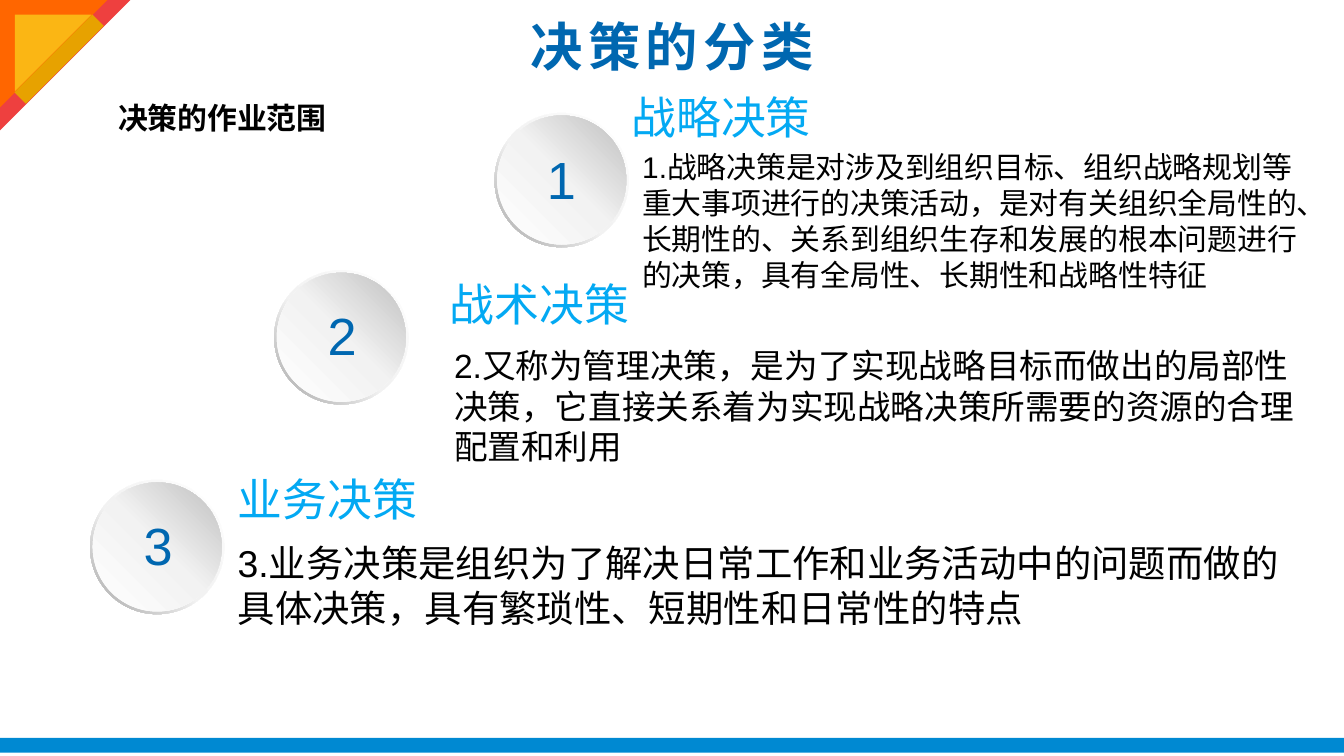
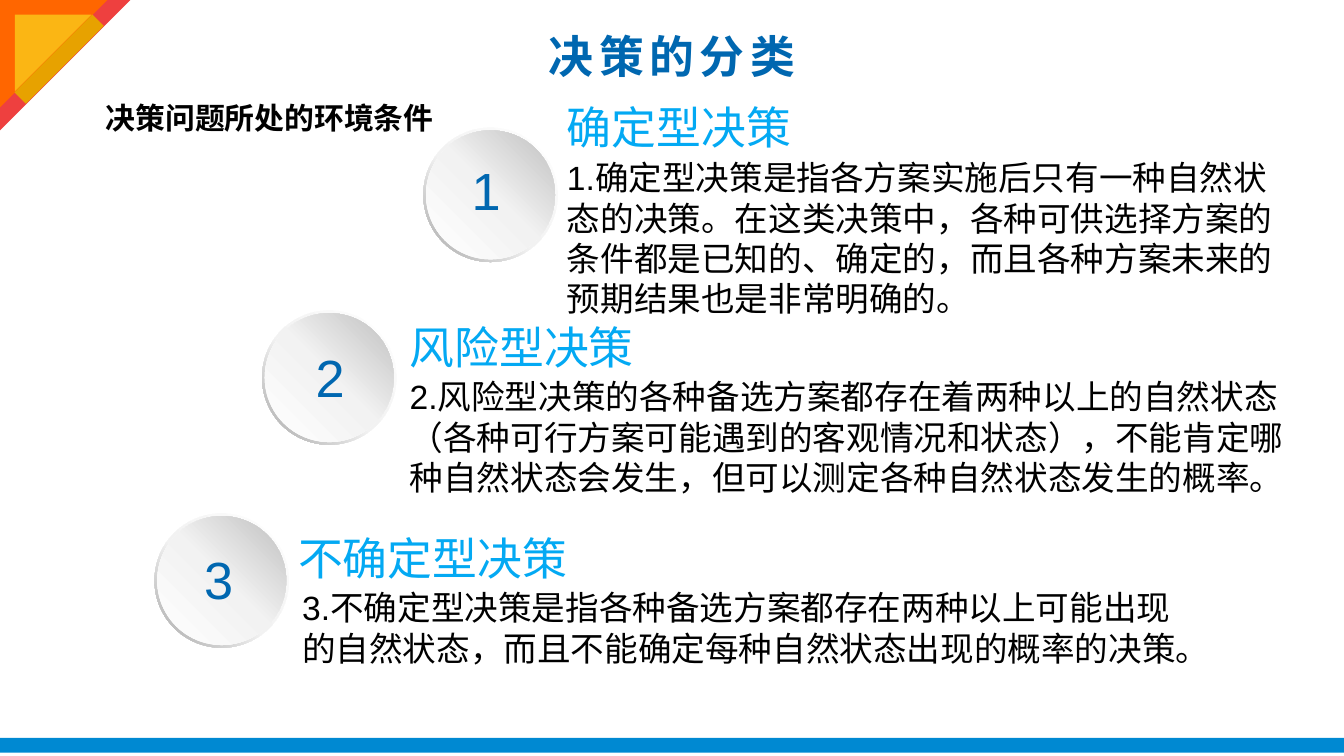
from dataclasses import dataclass

from lxml import etree
from pptx import Presentation
from pptx.dml.color import RGBColor
from pptx.enum.shapes import MSO_SHAPE
from pptx.enum.text import MSO_ANCHOR, MSO_AUTO_SIZE, PP_ALIGN
from pptx.oxml.ns import qn
from pptx.util import Inches, Pt

RECT, TRIANGLE = MSO_SHAPE.RECTANGLE, MSO_SHAPE.RIGHT_TRIANGLE
DONUT, OVAL = MSO_SHAPE.DONUT, MSO_SHAPE.OVAL
TOP, MIDDLE = MSO_ANCHOR.TOP, MSO_ANCHOR.MIDDLE
LEFT, CENTER = PP_ALIGN.LEFT, PP_ALIGN.CENTER
FIT, FIXED = MSO_AUTO_SIZE.SHAPE_TO_FIT_TEXT, MSO_AUTO_SIZE.NONE


@dataclass(frozen=True)
class Theme:
    font: str = "Arial"
    ink: str = "000000"
    navy: str = "0067B0"
    sky: str = "03A9F3"
    band: str = "0089D2"
    red: str = "EE403F"
    orange: str = "FF6600"
    yellow: str = "FBB614"
    amber: str = "E7A200"
    rim: tuple = ((0, "FFFFFF"), (55, "F2F2F2"), (100, "A6A6A6"))
    face: tuple = ((0, "FFFFFF"), (51, "F2F2F2"), (100, "BFBFBF"))
    scope_size: int = 16
    heading_size: int = 24
    number_size: int = 28
    title_spacing: int = 300


THEME = Theme()


@dataclass(frozen=True)
class Decision:
    heading: str
    heading_box: tuple
    detail: str
    detail_box: tuple
    detail_size: int
    badge_at: tuple
    number_offset: tuple


SLIDES = (
    dict(
        title_box=(0.5, 0.1, 9, 0.48), title_size=28,
        scope="决策的作业范围", scope_box=(0.78, 0.69, 3.52, 0.37),
        decisions=(
            Decision("战略决策", (4.6, 0.62, 2.23, 0.5),
                     "1.战略决策是对涉及到组织目标、组织战略规划等重大事项进行的决策活动，"
                     "是对有关组织全局性的、长期性的、关系到组织生存和发展的根本问题进行的决策，"
                     "具有全局性、长期性和战略性特征",
                     (4.68, 1.06, 5.18, 1.18), 16, (3.68, 0.84), (0.29, 0.21)),
            Decision("战术决策", (3.25, 2.01, 1.74, 0.5),
                     "2.又称为管理决策，是为了实现战略目标而做出的局部性决策，"
                     "它直接关系着为实现战略决策所需要的资源的合理配置和利用",
                     (3.28, 2.52, 6.58, 1.01), 18, (2.04, 2.01), (0.3, 0.2)),
            Decision("业务决策", (1.67, 3.46, 1.55, 0.5),
                     "3.业务决策是组织为了解决日常工作和业务活动中的问题而做的具体决策，"
                     "具有繁琐性、短期性和日常性的特点",
                     (1.67, 3.97, 8.09, 0.77), 20, (0.67, 3.57), (0.3, 0.2)),
        ),
    ),
    dict(
        title_box=(0.5, 0.23, 9, 0.37), title_size=24,
        scope="决策问题所处的环境条件", scope_box=(0.69, 0.69, 3.52, 0.37),
        decisions=(
            Decision("确定型决策", (4.12, 0.69, 2.23, 0.5),
                     "1.确定型决策是指各方案实施后只有一种自然状态的决策。在这类决策中，"
                     "各种可供选择方案的条件都是已知的、确定的，"
                     "而且各种方案未来的预期结果也是非常明确的。",
                     (4.12, 1.12, 5.49, 1.31), 18, (3.15, 0.95), (0.26, 0.18)),
            Decision("风险型决策", (2.95, 2.33, 1.96, 0.5),
                     "2.风险型决策的各种备选方案都存在着两种以上的自然状态"
                     "（各种可行方案可能遇到的客观情况和状态），"
                     "不能肯定哪种自然状态会发生，但可以测定各种自然状态发生的概率。",
                     (2.95, 2.75, 6.76, 1.01), 18, (1.95, 2.31), (0.3, 0.21)),
            Decision("不确定型决策", (2.12, 3.9, 2.22, 0.5),
                     "3.不确定型决策是指各种备选方案都存在两种以上可能出现的自然状态，"
                     "而且不能确定每种自然状态出现的概率的决策。",
                     (2.15, 4.32, 6.75, 0.71), 18, (1.15, 3.82), (0.27, 0.2)),
        ),
    ),
)


def inches(box):
    return [Inches(length) for length in box]


def add_text(shapes, box, text, size, color, bold=False, align=LEFT, anchor=TOP, fit=FIT):
    frame = shapes.add_textbox(*inches(box)).text_frame
    frame.word_wrap = True
    frame.auto_size = fit
    frame.vertical_anchor = anchor
    paragraph = frame.paragraphs[0]
    paragraph.text = text
    paragraph.alignment = align
    paragraph.font.name = THEME.font
    paragraph.font.size = Pt(size)
    paragraph.font.bold = bold
    paragraph.font.color.rgb = RGBColor.from_string(color)
    return paragraph


def add_plain(shapes, kind, box, color=None, rotation=0):
    shape = shapes.add_shape(kind, *inches(box))
    shape.shadow.inherit = False
    shape.line.fill.background()
    shape.rotation = rotation
    if color:
        shape.fill.solid()
        shape.fill.fore_color.rgb = RGBColor.from_string(color)
    return shape


def fill_gradient(shape, stops, clockwise_angle):
    shape.fill.gradient()
    shape.fill.gradient_angle = 360 - clockwise_angle
    stop_list = shape._element.spPr.find(qn("a:gradFill")).find(qn("a:gsLst"))
    for preset in list(stop_list):
        stop_list.remove(preset)
    for percent, color in stops:
        stop = etree.SubElement(stop_list, qn("a:gs"), pos=str(percent * 1000))
        etree.SubElement(stop, qn("a:srgbClr"), val=color)


def add_badge(slide, left, top, number, number_offset):
    badge = slide.shapes.add_group_shape().shapes
    rim = add_plain(badge, DONUT, (left, top, 1, 1))
    rim.adjustments[0] = 0.05
    fill_gradient(rim, THEME.rim, 135)
    face = add_plain(badge, OVAL, (left + 0.02, top + 0.02, 0.96, 0.96))
    fill_gradient(face, THEME.face, 315)
    dx, dy = number_offset
    add_text(badge, (left + dx, top + dy, 0.42, 0.57), str(number),
             THEME.number_size, THEME.navy)


def add_decision(slide, number, decision):
    add_text(slide.shapes, decision.detail_box, decision.detail,
             decision.detail_size, THEME.ink)
    add_text(slide.shapes, decision.heading_box, decision.heading,
             THEME.heading_size, THEME.sky)
    add_badge(slide, *decision.badge_at, number, decision.number_offset)


def add_frame(slide):
    add_plain(slide.shapes, RECT, (0, 5.49, 10, 0.11), THEME.band)
    for inset, side, color in ((0, 0.97, THEME.red), (0, 0.8, THEME.orange),
                               (0.11, 0.57, THEME.yellow)):
        add_plain(slide.shapes, TRIANGLE, (inset, inset, side, side), color, 90)
    add_plain(slide.shapes, RECT, (0.38, 0.03, 0.12, 0.82), THEME.amber, 45)


def add_title(slide, box, size):
    title = add_text(slide.shapes, box, "决策的分类", size, THEME.navy, True,
                     CENTER, MIDDLE, FIXED)
    title.runs[0]._r.get_or_add_rPr().set("spc", str(THEME.title_spacing))


def build_slide(deck, title_box, title_size, scope, scope_box, decisions):
    slide = deck.slides.add_slide(deck.slide_layouts[6])
    add_text(slide.shapes, scope_box, scope, THEME.scope_size, THEME.ink, True)
    for number, decision in enumerate(decisions, 1):
        add_decision(slide, number, decision)
    add_frame(slide)
    add_title(slide, title_box, title_size)


def main():
    deck = Presentation()
    deck.slide_width = Inches(10)
    deck.slide_height = deck.slide_width * 9 // 16
    for content in SLIDES:
        build_slide(deck, **content)
    deck.save("out.pptx")


if __name__ == "__main__":
    main()
